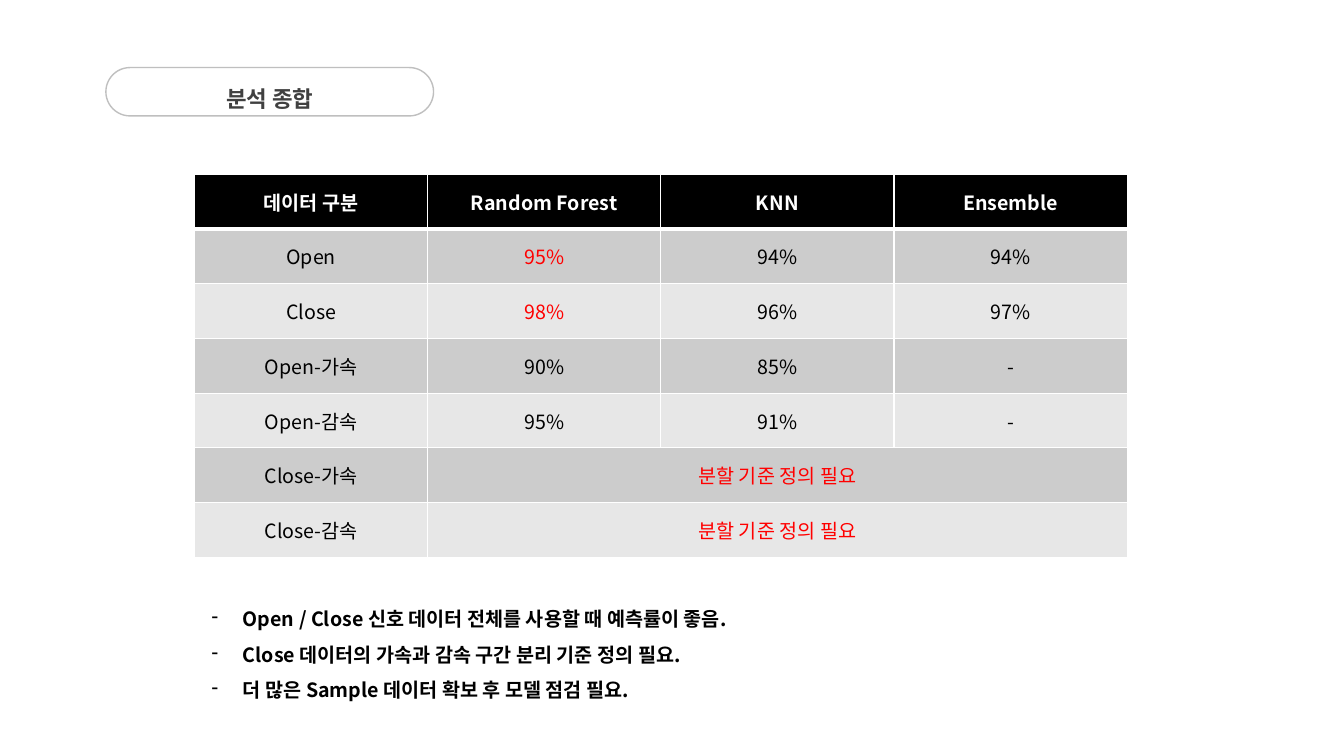
"""Build the analysis summary slide: a pill title, a model accuracy table and three conclusions."""
from dataclasses import dataclass

import pptx
import pptx.dml.color
import pptx.enum.shapes
import pptx.enum.text
import pptx.oxml
import pptx.oxml.ns
import pptx.util

qn = pptx.oxml.ns.qn
PP_ALIGN = pptx.enum.text.PP_ALIGN
MIDDLE = pptx.enum.text.MSO_ANCHOR.MIDDLE


@dataclass(frozen=True)
class Theme:
    font: str = "Noto Sans CJK KR"
    title_size: int = 16
    body_size: int = 14
    line_spacing: float = 1.5
    white: str = "FFFFFF"
    black: str = "000000"
    red: str = "FF0000"
    title: str = "404040"
    outline: str = "BFBFBF"
    bands: tuple[str, str] = ("CCCCCC", "E7E7E7")


@dataclass(frozen=True)
class Box:
    left: float
    top: float
    width: float
    height: float

    def emu(self) -> tuple[pptx.util.Length, ...]:
        return tuple(pptx.util.Inches(v) for v in (self.left, self.top, self.width, self.height))


@dataclass(frozen=True)
class Row:
    label: str
    values: tuple[str, ...]
    highlight: bool = False


THEME = Theme()
SLIDE = Box(0, 0, 13.33, 7.5)
TITLE = Box(1.05, 0.67, 3.25, 0.48)
TABLE = Box(1.93, 1.73, 9.25, 3.8)
NOTES = Box(2, 5.86, 10.01, 1.16)
INDENT = 0.31

HEADER = ("데이터 구분", "Random Forest", "KNN", "Ensemble")
ROWS = (
    Row("Open", ("95%", "94%", "94%"), True),
    Row("Close", ("98%", "96%", "97%"), True),
    Row("Open-가속", ("90%", "85%", "-")),
    Row("Open-감속", ("95%", "91%", "-")),
    Row("Close-가속", ("분할 기준 정의 필요",), True),
    Row("Close-감속", ("분할 기준 정의 필요",), True),
)
CONCLUSIONS = (
    "Open / Close 신호 데이터 전체를 사용할 때 예측률이 좋음.",
    "Close 데이터의 가속과 감속 구간 분리 기준 정의 필요.",
    "더 많은 Sample 데이터 확보 후 모델 점검 필요.",
)


def rgb(color: str) -> pptx.dml.color.RGBColor:
    return pptx.dml.color.RGBColor.from_string(color)


def write(p, text: str, size: int, color: str, bold: bool, align=None) -> None:
    p.text = text
    p.alignment = align
    for r in p.runs:
        r.font.name = THEME.font
        r.font.size = pptx.util.Pt(size)
        r.font.bold = bold
        r.font.color.rgb = rgb(color)
        ea = r.font._element.makeelement(qn("a:ea"), {"typeface": THEME.font})
        r.font._element.find(qn("a:latin")).addnext(ea)


def add_title(slide, text: str) -> None:
    pill = slide.shapes.add_shape(pptx.enum.shapes.MSO_SHAPE.ROUNDED_RECTANGLE, *TITLE.emu())
    pill.adjustments[0] = 0.5
    pill.shadow.inherit = False
    pill.fill.solid()
    pill.fill.fore_color.rgb = rgb(THEME.white)
    pill.line.color.rgb = rgb(THEME.outline)
    pill.line.width = pptx.util.Pt(1)

    sp = slide.shapes.title
    sp.left, sp.top, sp.width, sp.height = TITLE.emu()
    pill._element.addnext(sp._element)
    tf = sp.text_frame
    tf.margin_left = tf.margin_top = tf.margin_right = tf.margin_bottom = 0
    tf.auto_size = pptx.enum.text.MSO_AUTO_SIZE.NONE
    tf.vertical_anchor = MIDDLE
    p = tf.paragraphs[0]
    write(p, text, THEME.title_size, THEME.title, True, PP_ALIGN.CENTER)
    p.line_spacing = THEME.line_spacing


def add_borders(cell, widths: dict[str, float]) -> None:
    tcPr = cell._tc.get_or_add_tcPr()
    for side, width in widths.items():
        ln = pptx.oxml.parse_xml(
            f'<a:ln{side} xmlns:a="http://schemas.openxmlformats.org/drawingml/2006/main" '
            f'w="{pptx.util.Pt(width)}"><a:solidFill><a:srgbClr val="{THEME.white}"/>'
            f"</a:solidFill></a:ln{side}>"
        )
        tcPr.append(ln)


def format_cell(cell, row: int) -> None:
    add_borders(cell, {"L": 1, "R": 1, "T": 3 if row == 1 else 1, "B": 1 if row else 3})
    cell.fill.solid()
    cell.fill.fore_color.rgb = rgb(THEME.bands[(row - 1) % 2] if row else THEME.black)
    cell.vertical_anchor = MIDDLE


def add_results(slide) -> None:
    table = slide.shapes.add_table(len(ROWS) + 1, len(HEADER), *TABLE.emu()).table
    lines = (Row(HEADER[0], HEADER[1:]), *ROWS)
    for i, line in enumerate(lines):
        for j in range(len(HEADER)):
            format_cell(table.cell(i, j), i)
        if len(line.values) == 1:
            table.cell(i, 1).merge(table.cell(i, len(HEADER) - 1))
        for j, text in enumerate((line.label, *line.values)):
            color = THEME.red if line.highlight and j == 1 else THEME.black
            p = table.cell(i, j).text_frame.paragraphs[0]
            write(p, text, THEME.body_size, color if i else THEME.white, i == 0, PP_ALIGN.CENTER)


def add_conclusions(slide) -> None:
    tf = slide.shapes.add_textbox(*NOTES.emu()).text_frame
    tf.word_wrap = True
    tf.text = "\n".join(CONCLUSIONS)
    for p, text in zip(tf.paragraphs, CONCLUSIONS):
        write(p, text, THEME.body_size, THEME.black, True)
        p.line_spacing = THEME.line_spacing
        pPr = p._p.get_or_add_pPr()
        pPr.set("marL", str(pptx.util.Inches(INDENT)))
        pPr.set("indent", str(-pptx.util.Inches(INDENT)))
        pPr.append(pPr.makeelement(qn("a:buChar"), {"char": "-"}))


def main() -> None:
    prs = pptx.Presentation()
    prs.slide_width = pptx.util.Inches(SLIDE.width)
    prs.slide_height = pptx.util.Inches(SLIDE.height)
    slide = prs.slides.add_slide(prs.slide_layouts.get_by_name("Title Only"))
    add_title(slide, "분석 종합")
    add_results(slide)
    add_conclusions(slide)
    prs.save("out.pptx")


if __name__ == "__main__":
    main()
